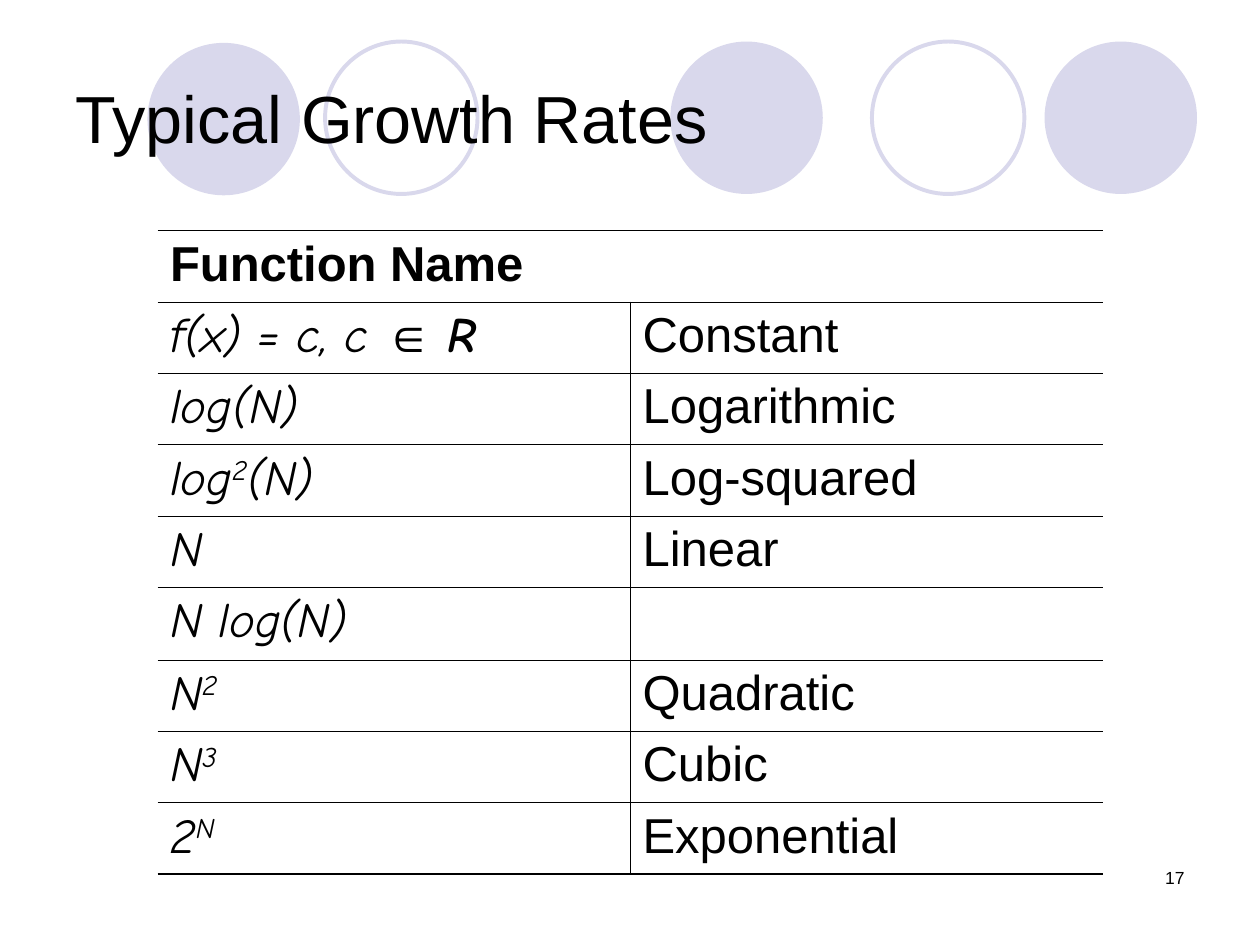
from dataclasses import dataclass

from lxml.etree import SubElement
from pptx import Presentation
from pptx.dml.color import RGBColor as Color
from pptx.enum.shapes import MSO_SHAPE as Shape
from pptx.enum.text import MSO_ANCHOR as Anchor, PP_ALIGN as Align
from pptx.oxml.ns import qn
from pptx.util import Inches, Pt


@dataclass(frozen=True)
class Theme:
    ink: str = "000000"
    accent: str = "D9D8EC"
    font: str = "Arial"
    math_font: str = "Comic Neue"
    title_size: float = 38
    table_size: float = 28
    number_size: float = 10
    thin: float = 0.45
    thick: float = 1.08
    ring: float = 2.25


THEME = Theme()

# Content: a formula is a list of (text, style) spans
TITLE = "Typical Growth Rates"
HEADER = "Function Name"
PAGE_NUMBER = "17"
GROWTH_RATES = [
    ([("f(x) = c, c ", "math"), ("∈ ", "symbol"), ("R", "set")], "Constant"),
    ([("log(N)", "math")], "Logarithmic"),
    ([("log", "math"), ("2", "power"), ("(N)", "math")], "Log-squared"),
    ([("N", "math")], "Linear"),
    ([("N log(N)", "math")], ""),
    ([("N", "math"), ("2", "power")], "Quadratic"),
    ([("N", "math"), ("3", "power")], "Cubic"),
    ([("2", "math"), ("N", "power")], "Exponential"),
]
STYLES = {
    "plain": dict(font=THEME.font),
    "header": dict(font=THEME.font, bold=True),
    "math": dict(font=THEME.math_font, italic=True),
    "symbol": dict(font=THEME.font, italic=True),
    "set": dict(font=THEME.math_font, bold=True, italic=True),
    "power": dict(font=THEME.math_font, italic=True, raised=30),
}

# Header circles: (left, top, filled)
CIRCLE_SIZE = 1.21
CIRCLES = [
    (5.32, 0.33, True),
    (8.29, 0.33, True),
    (1.17, 0.34, True),
    (6.92, 0.33, False),
    (2.58, 0.33, False),
]

# Table geometry
TABLE_LEFT, TABLE_TOP = 1.25, 1.83
TABLE_WIDTH, TABLE_HEIGHT = 7.5, 5.1


def add_span(para, text, size, font, bold=False, italic=False, raised=0):
    span = para.add_run()
    span.text = text
    span.font.name = font
    span.font.size = Pt(size)
    span.font.bold = bold
    span.font.italic = italic
    span.font.color.rgb = Color.from_string(THEME.ink)
    if raised:
        span.font.fill  # ensures the run properties exist
        span.font._element.set("baseline", str(raised * 1000))


def add_circle(page, left, top, filled):
    circle = page.shapes.add_shape(
        Shape.OVAL, Inches(left), Inches(top), Inches(CIRCLE_SIZE), Inches(CIRCLE_SIZE))
    circle.shadow.inherit = False
    accent = Color.from_string(THEME.accent)
    if filled:
        circle.fill.solid()
        circle.fill.fore_color.rgb = accent
        circle.line.fill.background()
    else:
        circle.fill.background()
        circle.line.color.rgb = accent
        circle.line.width = Pt(THEME.ring)


def set_borders(cell, **widths):
    """Draw the named sides in points; sides left out get no line."""
    properties = cell._tc.get_or_add_tcPr()
    for place, side in enumerate(("left", "right", "top", "bottom")):
        line = SubElement(properties, qn("a:ln" + side[0].upper()))
        properties.insert(place, line)
        width = widths.get(side)
        if width:
            line.set("w", str(Pt(width)))
            fill = SubElement(line, qn("a:solidFill"))
            SubElement(fill, qn("a:srgbClr"), val=THEME.ink)
        else:
            SubElement(line, qn("a:noFill"))


def fill_cell(cell, spans):
    para = cell.text_frame.paragraphs[0]
    para.space_before = Pt(7)
    para.font.size = Pt(THEME.table_size)
    for text, style in spans:
        if text:
            add_span(para, text, THEME.table_size, **STYLES[style])


def add_growth_table(page):
    count = len(GROWTH_RATES) + 1
    table = page.shapes.add_table(
        count, 2, Inches(TABLE_LEFT), Inches(TABLE_TOP),
        Inches(TABLE_WIDTH), Inches(TABLE_HEIGHT)).table
    table.first_row = table.horz_banding = False
    for row in table.rows:
        row.height = Inches(TABLE_HEIGHT / count)
    table.cell(0, 0).merge(table.cell(0, 1))

    fill_cell(table.cell(0, 0), [(HEADER, "header")])
    for row, (formula, name) in enumerate(GROWTH_RATES, start=1):
        fill_cell(table.cell(row, 0), formula)
        fill_cell(table.cell(row, 1), [(name, "plain")])

    # Horizontal rules, plus a divider below the header
    for row in range(count):
        for column in range(2):
            cell = table.cell(row, column)
            cell.fill.background()
            borders = dict(
                top=THEME.thick if row == 0 else THEME.thin,
                bottom=THEME.thick if row == count - 1 else THEME.thin)
            if row > 0:
                borders["left" if column else "right"] = THEME.thin
            set_borders(cell, **borders)


def main():
    deck = Presentation()
    deck.slide_width, deck.slide_height = Inches(10), Inches(7.5)
    page = deck.slides.add_slide(deck.slide_layouts[5])

    for circle in CIRCLES:
        add_circle(page, *circle)

    # Title, raised in front of the circles
    title = page.shapes.title
    title.left, title.top = Inches(0.5), Inches(0.3)
    title.width, title.height = Inches(9), Inches(1.25)
    title.element.getparent().append(title.element)
    title.text_frame.vertical_anchor = Anchor.MIDDLE
    para = title.text_frame.paragraphs[0]
    para.alignment = Align.LEFT
    add_span(para, TITLE, THEME.title_size, THEME.font)

    add_growth_table(page)

    # Page number
    box = page.shapes.add_textbox(Inches(7.17), Inches(6.83), Inches(2.33), Inches(0.5))
    box.text_frame.word_wrap = True
    para = box.text_frame.paragraphs[0]
    para.alignment = Align.RIGHT
    add_span(para, PAGE_NUMBER, THEME.number_size, THEME.font)

    deck.save("out.pptx")


if __name__ == "__main__":
    main()
